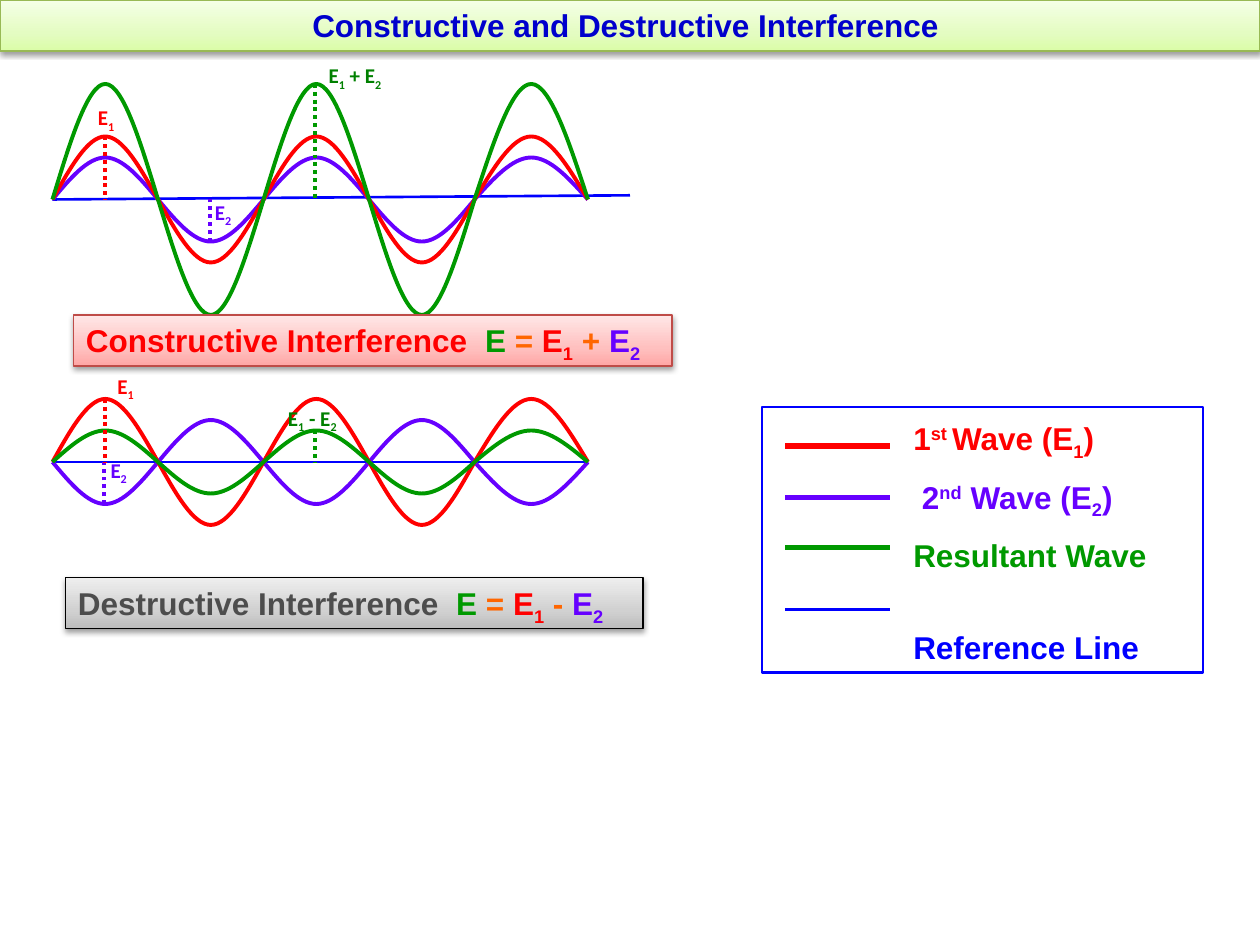
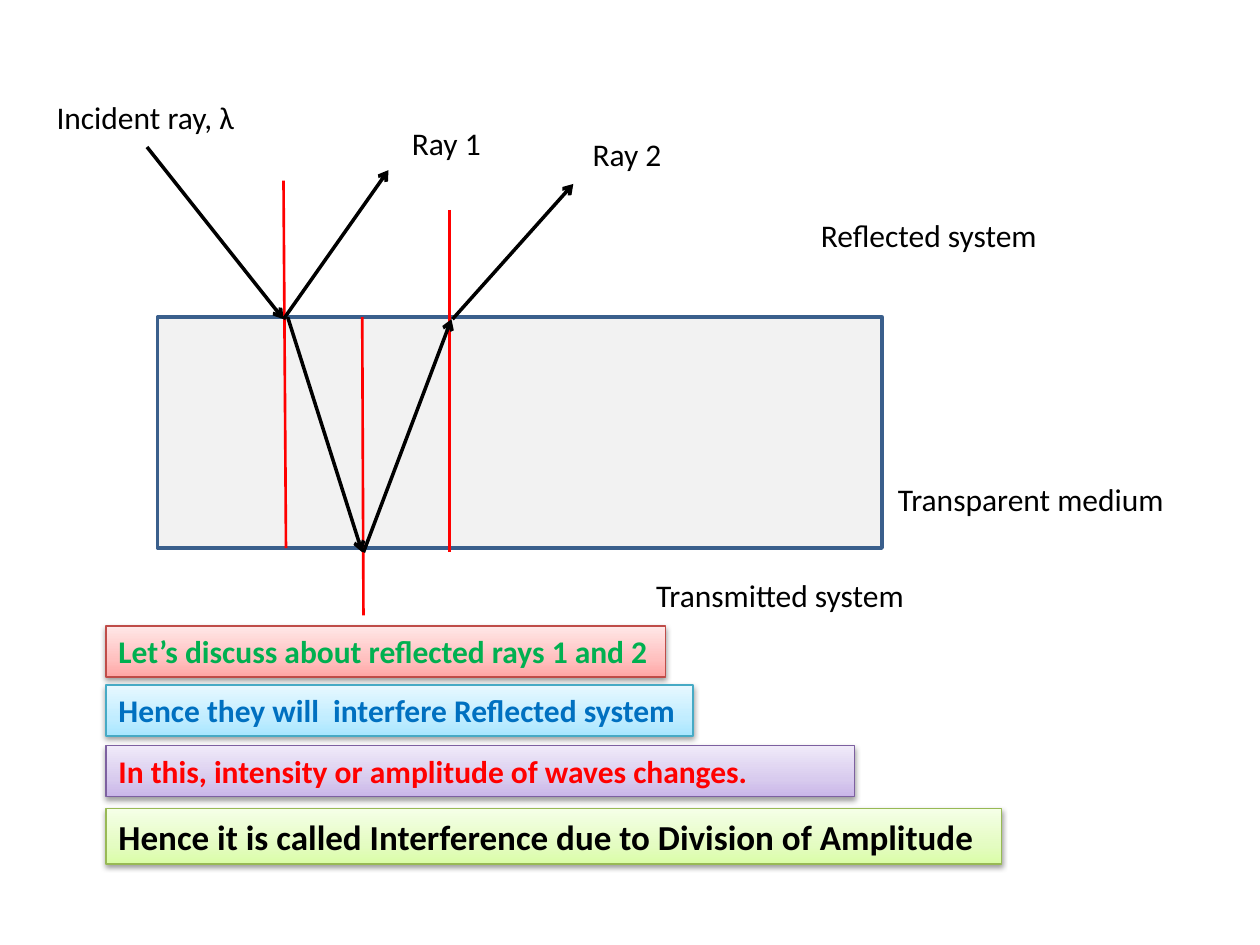
from copy import deepcopy
from dataclasses import dataclass

from pptx import Presentation
from pptx import util as u
from pptx.dml.color import RGBColor
from pptx.enum import dml, shapes, text
from pptx.oxml import ns
from pptx.oxml import xmlchemy as xml

COLUMNS, ROWS = 120, 90
WIDTH, HEIGHT = u.Inches(10), u.Inches(7.5)
COLORS = {
    "title": "0000CC", "first": "FF0000", "second": "6600FF",
    "resultant": "009900", "reference": "0000FF", "sign": "FF6600",
    "sum": "008000", "muted": "4D4D4D", "ink": "000000",
    "normal": "FF0000", "medium": "F2F2F2", "medium edge": "3A5F8C",
    "leaf": "00B050", "sky": "0070C0",
}
BANDS = {
    "green": {"edge": "98B955", 0: "DAFDA7", 0.35: "E4FCC2", 1: "F5FFE7"},
    "red": {"edge": "BF4C48", 0: "FFA6A5", 0.35: "FFC0BF", 1: "FFE7E7"},
    "grey": {"edge": "000000", 0: "BDBDBD", 0.35: "D1D1D1", 1: "EEEEEE"},
    "blue": {"edge": "46AAC5", 0: "A7E6FF", 0.35: "C1EDFF", 1: "E7F8FF"},
    "purple": {"edge": "7D60A0", 0: "C9B5E8", 0.35: "D8CBEE", 1: "F0EAF9"},
}
SUB, SUPER = -25000, 30000
LOBE_HEIGHTS = (0.5, 1, 1, 1, 0.5, 0)


@dataclass
class Box:
    col: float
    row: float
    cols: float
    rows: float

    def inner(self, col, row, cols, rows):
        return Box(self.col + col, self.row + row, cols, rows)

    def point(self, col, row):
        return (round((self.col + col) * WIDTH / COLUMNS),
                round((self.row + row) * HEIGHT / ROWS))

    def frame(self):
        return (*self.point(0, 0), round(self.cols * WIDTH / COLUMNS),
                round(self.rows * HEIGHT / ROWS))


def rgb(name):
    return RGBColor.from_string(COLORS[name])


def write(paragraph, runs, size, font="Arial", bold=True):
    for words, color, *baseline in runs:
        run = paragraph.add_run()
        run.text = words
        run.font.name, run.font.size, run.font.bold = font, u.Pt(size), bold
        run.font.color.rgb = rgb(color)
        if baseline:
            run._r.get_or_add_rPr().set("baseline", str(baseline[0]))


def label(slide, box, runs, size, font="Calibri", bold=True):
    frame = slide.shapes.add_textbox(*box.frame()).text_frame
    frame.word_wrap = False
    frame.auto_size = text.MSO_AUTO_SIZE.SHAPE_TO_FIT_TEXT
    write(frame.paragraphs[0], runs, size, font, bold)


def line(slide, box, start, end, color, width, dotted=False, arrow=False):
    stroke = slide.shapes.add_connector(
        shapes.MSO_CONNECTOR.STRAIGHT, *box.point(*start), *box.point(*end))
    stroke.line.color.rgb = rgb(color)
    stroke.line.width = u.Pt(width)
    if dotted:
        stroke.line.dash_style = dml.MSO_LINE.ROUND_DOT
    properties = stroke._element.spPr
    if arrow:
        head = xml.OxmlElement("a:tailEnd")
        head.set("type", "arrow")
        properties.find(ns.qn("a:ln")).append(head)
    properties.append(xml.OxmlElement("a:effectLst"))


def rectangle(slide, box):
    shape = slide.shapes.add_shape(shapes.MSO_SHAPE.RECTANGLE, *box.frame())
    shape.shadow.inherit = False
    return shape


def dress_band(shape, band):
    properties = shape._element.spPr
    shape.fill.gradient()
    shape.fill.gradient_angle = 90
    stops = properties.find(ns.qn("a:gradFill")).find(ns.qn("a:gsLst"))
    stops.append(deepcopy(stops[-1]))
    tints = [(key, tint) for key, tint in BANDS[band].items() if key != "edge"]
    for stop, (position, tint) in zip(shape.fill.gradient_stops, tints):
        stop.color.rgb = RGBColor.from_string(tint)
        stop.position = position
    shape.line.color.rgb = RGBColor.from_string(BANDS[band]["edge"])
    shape.line.width = u.Pt(0.75)
    shape.shadow.inherit = False
    shadow = xml.OxmlElement("a:outerShdw")
    for key, value in (("blurRad", 40000), ("dist", 20000),
                       ("dir", 5400000), ("rotWithShape", 0)):
        shadow.set(key, str(value))
    tone, alpha = xml.OxmlElement("a:srgbClr"), xml.OxmlElement("a:alpha")
    tone.set("val", COLORS["ink"])
    alpha.set("val", "38000")
    tone.append(alpha)
    shadow.append(tone)
    properties.find(ns.qn("a:effectLst")).append(shadow)


def fill_band(shape, band, runs, size=18, font="Arial",
              align=text.PP_ALIGN.LEFT):
    dress_band(shape, band)
    frame = shape.text_frame
    frame.word_wrap = True
    frame.auto_size = text.MSO_AUTO_SIZE.NONE
    frame.vertical_anchor = text.MSO_ANCHOR.TOP
    frame.paragraphs[0].alignment = align
    write(frame.paragraphs[0], runs, size, font)


def title_band(slide, box, words):
    title = slide.shapes.title
    title.left, title.top, title.width, title.height = box.frame()
    fill_band(title, "green", [(words, "title")], align=text.PP_ALIGN.CENTER)


def bend(outline):
    segments = list(outline._element.iter(ns.qn("a:lnTo")))
    for first in range(0, len(segments), 3):
        curve = xml.OxmlElement("a:cubicBezTo")
        segments[first].addprevious(curve)
        for segment in segments[first:first + 3]:
            curve.append(segment[0])
            segment.getparent().remove(segment)


def wave(slide, box, amplitude, color):
    nodes = [10.05 * lobe for lobe in range(5)] + [box.cols]
    axis = box.rows / 2
    lobes = []
    for index, (start, end) in enumerate(zip(nodes, nodes[1:])):
        height = amplitude * (-1) ** index
        points = [box.point(start + (end - start) * step / 6,
                            axis - height * share)
                  for step, share in enumerate(LOBE_HEIGHTS, 1)]
        outline = slide.shapes.build_freeform(*box.point(start, axis))
        outline.add_line_segments(points, close=False)
        lobe = outline.convert_to_shape()
        bend(lobe)
        lobe.shadow.inherit = False
        lobe.fill.background()
        lobe.line.color.rgb = rgb(color)
        lobe.line.width = u.Pt(2.25)
        lobes.append(lobe)
    slide.shapes.add_group_shape(lobes)


def wave_panel(slide, box, axis_end, waves, peaks):
    axis = box.rows / 2
    line(slide, box, (0, axis), axis_end, "reference", 1.5)
    for color, amplitude in waves.items():
        wave(slide, box, amplitude, color)
    for color, col, height in peaks:
        line(slide, box, (col, axis - height), (col, axis), color, 2.25,
             dotted=True)


def wave_labels(slide, box, first_at, second_at, both_at, sign):
    label(slide, box.inner(*first_at, 4.6, 3.6),
          [("E", "first"), ("1", "first", SUB)], 12)
    label(slide, box.inner(*second_at, 4.6, 3.6),
          [("E", "second"), ("2", "second", SUB)], 12)
    label(slide, box.inner(*both_at, 8.6, 3.6),
          [("E", "sum"), ("1", "sum", SUB), (f" {sign} E", "sum"),
           ("2", "sum", SUB)], 12)


def equation_band(slide, box, band, name, color, sign):
    fill_band(rectangle(slide, box), band, [
        (f"{name} Interference  ", color), ("E", "resultant"),
        (" =", "sign"), (" E", "first"), ("1", "first", SUB),
        (f" {sign} ", "sign"), ("E", "second"), ("2", "second", SUB)])


def legend(slide, box):
    entries = [
        ("first", 3.72, 3, 0, [("1", "first"), ("st ", "first", SUPER),
                               ("Wave (E", "first"), ("1", "first", SUB),
                               (")", "first")]),
        ("second", 8.64, 3, 9, [(" ", "sign"), ("2", "second"),
                                ("nd", "second", SUPER),
                                (" Wave (E", "second"),
                                ("2", "second", SUB), (")", "second")]),
        ("resultant", 13.37, 3, 9, [("Resultant Wave", "resultant")]),
        ("reference", 19.32, 1.5, 31, [("Reference Line", "reference")]),
    ]
    names = slide.shapes.add_textbox(
        *box.inner(13.23, 0.55, 27.6, 21.2).frame()).text_frame
    names.word_wrap = True
    for index, (color, row, width, gap, runs) in enumerate(entries):
        line(slide, box, (2.2, row), (12.2, row), color, width)
        entry = names.add_paragraph() if index else names.paragraphs[0]
        entry.space_before = u.Pt(gap)
        write(entry, runs, 18)
    border = rectangle(slide, box)
    border.fill.background()
    border.line.color.rgb = rgb("reference")
    border.line.width = u.Pt(1.5)


def ray_diagram(slide, box):
    medium = rectangle(slide, box)
    medium.fill.solid()
    medium.fill.fore_color.rgb = rgb("medium")
    medium.line.color.rgb = rgb("medium edge")
    medium.line.width = u.Pt(2)
    normals = [((12, -13), (12.24, 22)), ((19.5, 0), (19.62, 28.4)),
               ((27.8, -10.2), (27.8, 22.4))]
    rays = [((-1, -16.2), (12, 0.2)), ((12.4, 0), (19.5, 22.4)),
            ((12, 0.2), (22, -14)), ((19.62, 22.4), (28, 0.2)),
            ((28.1, 0.2), (39.6, -12.68))]
    for start, end in normals:
        line(slide, box, start, end, "normal", 1.5)
    for start, end in rays:
        line(slide, box, start, end, "ink", 2, arrow=True)
    for words, col, row, cols in (
            ("Incident ray, λ", -10.8, -21.45, 19.6),
            ("Ray 1", 23.04, -19, 9),
            ("Ray 2", 40.25, -17.95, 9),
            ("Reflected system", 62, -10.2, 23.2),
            ("Transparent medium", 69.34, 14.9, 28.1),
            ("Transmitted system", 46.3, 24.05, 26.3)):
        label(slide, box.inner(col, row, cols, 4.8), [(words, "ink")], 18,
              bold=False)


def conclusions(slide, box):
    for row, cols, rows, band, color, size, words in (
            (0, 53.3, 4.85, "red", "leaf", 18,
             "Let’s discuss about reflected rays 1 and 2"),
            (5.62, 55.9, 4.85, "blue", "sky", 18,
             "Hence they will  interfere Reflected system"),
            (11.4, 71.3, 4.85, "purple", "first", 18,
             "In this, intensity or amplitude of waves changes."),
            (17.4, 85.3, 5.25, "green", "ink", 20,
             "Hence it is called Interference due to Division of Amplitude")):
        fill_band(rectangle(slide, box.inner(0, row, cols, rows)), band,
                  [(words, color)], size, "Calibri")


def interference_slide(deck):
    slide = deck.slides.add_slide(deck.slide_layouts[5])
    title_band(slide, Box(0, 0, COLUMNS, 4.85),
               "Constructive and Destructive Interference ")
    constructive, destructive = Box(5, 8, 51, 22), Box(5, 38, 51, 12)
    wave_panel(slide, constructive, (55, 10.6),
               {"second": 4, "first": 6, "resultant": 11},
               [("second", 15, -4), ("first", 5, 6), ("resultant", 25, 11)])
    wave_panel(slide, destructive, (51, 6),
               {"second": -4, "first": 6, "resultant": 3},
               [("second", 4.88, -4), ("first", 5, 6), ("resultant", 25, 3)])
    equation_band(slide, Box(7, 30, 57, 4.85), "red", "Constructive",
                  "first", "+")
    equation_band(slide, Box(6.25, 55, 55, 4.85), "grey", "Destructive",
                  "muted", "-")
    legend(slide, Box(72.57, 38.75, 42, 25.33))
    wave_labels(slide, constructive, (3.15, 1.4), (14.3, 10.4),
                (25.12, -2.6), "+")
    wave_labels(slide, destructive, (5, -3), (4.35, 5), (21.25, 0), "-")


def reflection_slide(deck):
    slide = deck.slides.add_slide(deck.slide_layouts[6])
    ray_diagram(slide, Box(15, 30.2, 69, 22))
    conclusions(slide, Box(10.1, 59.63, 85.3, 22.65))


def main():
    deck = Presentation()
    deck.slide_width, deck.slide_height = WIDTH, HEIGHT
    interference_slide(deck)
    reflection_slide(deck)
    deck.save("out.pptx")


if __name__ == "__main__":
    main()
